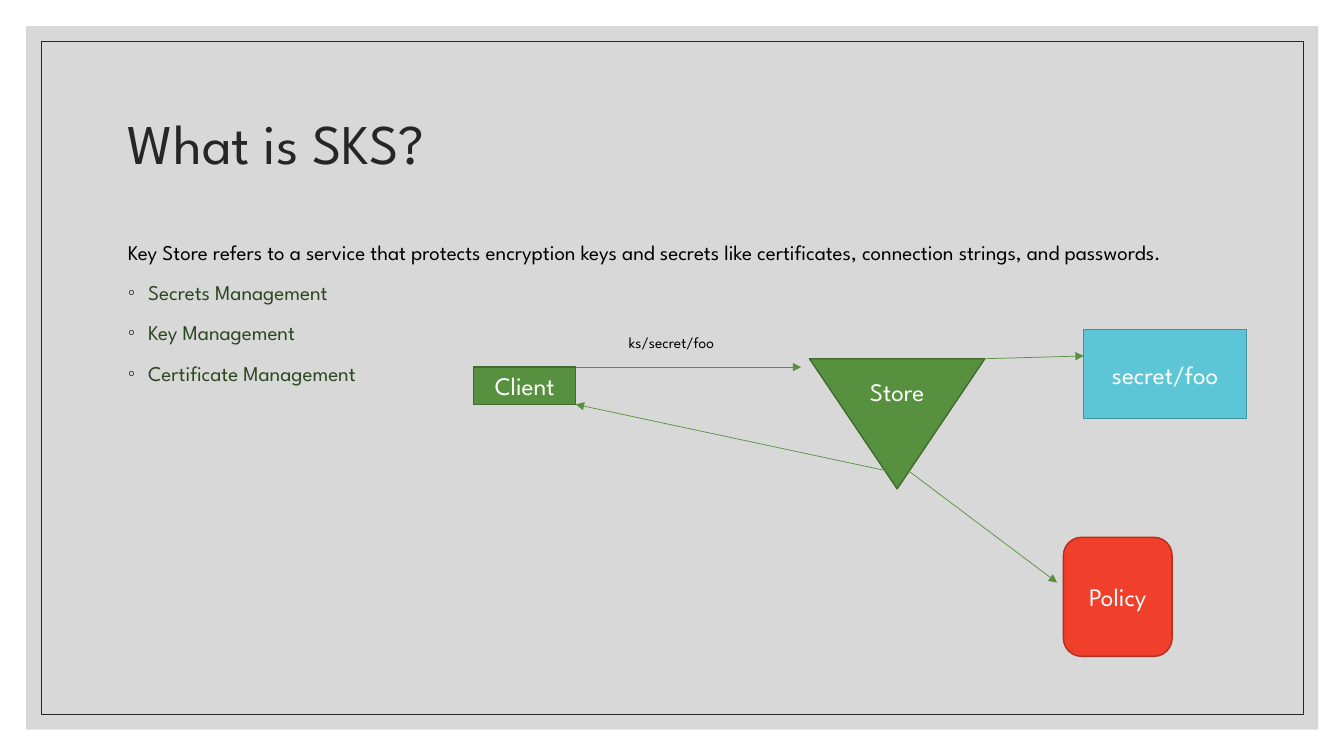
import dataclasses

import pptx
import pptx.dml.color
import pptx.enum.dml
import pptx.enum.shapes
import pptx.enum.text
import pptx.oxml
import pptx.oxml.ns
import pptx.util

Cm = pptx.util.Cm
Pt = pptx.util.Pt
SHAPE = pptx.enum.shapes.MSO_SHAPE
ALIGN = pptx.enum.text.PP_ALIGN
ANCHOR = pptx.enum.text.MSO_ANCHOR


@dataclasses.dataclass(frozen=True)
class Theme:
    """Hold the colours and type sizes of the slide."""
    font: str = "League Spartan"
    panel: str = "BFBFBF"
    ink: str = "262626"
    black: str = "000000"
    white: str = "FFFFFF"
    topic: str = "2C4820"
    green: str = "57903F"
    green_edge: str = "406B2F"
    blue: str = "5CC6D6"
    blue_edge: str = "44929E"
    red: str = "F03F2B"
    red_edge: str = "B22F20"
    title_size: float = 40
    body_size: float = 15
    node_size: float = 18
    label_size: float = 11
    edge_width: float = 1
    hairline: float = 0.5


THEME = Theme()


def rgb(code):
    """Turn a hex code into a colour."""
    return pptx.dml.color.RGBColor.from_string(code)


def add_xml(parent, tag, **attributes):
    """Append a DrawingML element to a parent and return it."""
    element = pptx.oxml.parse_xml(f"<a:{tag} {pptx.oxml.ns.nsdecls('a')}/>")
    for name, value in attributes.items():
        element.set(name, value)
    parent.append(element)
    return element


def style(paragraph, size, colour, align):
    """Set the font and alignment of a paragraph."""
    paragraph.font.name = THEME.font
    paragraph.font.size = Pt(size)
    paragraph.font.color.rgb = rgb(colour)
    paragraph.alignment = align


def place(shape, left, top, width, height):
    """Move a shape to a box given in centimetres."""
    shape.left, shape.top = Cm(left), Cm(top)
    shape.width, shape.height = Cm(width), Cm(height)


def add_block(slide, kind, box, fill, edge, width):
    """Add a flat shape, unfilled or unlined where a colour is None."""
    block = slide.shapes.add_shape(kind, *map(Cm, box))
    block.shadow.inherit = False
    if fill:
        block.fill.solid()
        block.fill.fore_color.rgb = rgb(fill)
    else:
        block.fill.background()
    if edge:
        block.line.color.rgb = rgb(edge)
        block.line.width = Pt(width)
    else:
        block.line.fill.background()
    return block


def draw_frame(slide, left, top, width, height):
    """Draw the tinted panel and its inner border behind the placeholders."""
    inset = 0.38
    panel = add_block(slide, SHAPE.RECTANGLE, (left, top, width, height),
                      THEME.panel, None, 0)
    tint = panel.fill._xPr.find(".//" + pptx.oxml.ns.qn("a:srgbClr"))
    add_xml(tint, "alpha", val="60000")
    inner = (left + inset, top + inset, width - 2 * inset, height - 2 * inset)
    border = add_block(slide, SHAPE.RECTANGLE, inner, None, THEME.ink, THEME.hairline)
    for depth, part in enumerate((panel, border), start=2):
        slide.shapes._spTree.insert(depth, part._element)


def fill_title(slide, left, top, width, height):
    """Place and write the title."""
    heading = slide.shapes.title
    place(heading, left, top, width, height)
    heading.text_frame.text = "What is SKS?"
    heading.text_frame.vertical_anchor = ANCHOR.MIDDLE
    heading.text_frame.auto_size = pptx.enum.text.MSO_AUTO_SIZE.NONE
    line = heading.text_frame.paragraphs[0]
    style(line, THEME.title_size, THEME.ink, ALIGN.LEFT)
    line.line_spacing = 0.9


def fill_body(slide, left, top, width, height):
    """Place the introduction and the bulleted topics."""
    body = slide.placeholders[1]
    place(body, left, top, width, height)
    body.text_frame.auto_size = pptx.enum.text.MSO_AUTO_SIZE.NONE
    body.text_frame.text = "\n".join((
        "Key Store refers to a service that protects encryption keys and secrets "
        "like certificates, connection strings, and passwords.",
        "Secrets Management", "Key Management", "Certificate Management"))
    for position, line in enumerate(body.text_frame.paragraphs):
        is_topic = position > 0
        style(line, THEME.body_size, THEME.topic if is_topic else THEME.black, ALIGN.LEFT)
        line.line_spacing = 1.1
        line.space_before = Pt(9)
        properties = line._p.get_or_add_pPr()
        indent = Cm(0.51) if is_topic else 0
        properties.set("marL", str(indent))
        properties.set("indent", str(-indent))
        run_defaults = properties.find(pptx.oxml.ns.qn("a:defRPr"))
        if is_topic:
            add_xml(add_xml(properties, "buClr"), "srgbClr", val=THEME.ink)
            add_xml(properties, "buChar", char="◦")
        else:
            add_xml(properties, "buNone")
        properties.append(run_defaults)


def add_arrow(slide, start, end):
    """Add a thin green arrow between two points in centimetres."""
    arrow = slide.shapes.add_connector(
        pptx.enum.shapes.MSO_CONNECTOR.STRAIGHT, *map(Cm, start + end))
    arrow.line.color.rgb = rgb(THEME.green)
    arrow.line.width = Pt(THEME.hairline)
    add_xml(arrow.line._get_or_add_ln(), "tailEnd", type="triangle")
    add_xml(arrow._element.spPr, "effectLst")


def draw_store_flow(slide, left, top):
    """Draw the client, store, secret and policy with their arrows."""
    nodes = (
        ("Client", SHAPE.RECTANGLE, (0, 0.99, 2.57, 0.94), THEME.green, THEME.green_edge),
        ("Store", SHAPE.FLOWCHART_MERGE, (8.46, 0.78, 4.42, 3.28),
         THEME.green, THEME.green_edge),
        ("secret/foo", SHAPE.RECTANGLE, (15.37, 0.05, 4.11, 2.24),
         THEME.blue, THEME.blue_edge),
        ("Policy", SHAPE.ROUNDED_RECTANGLE, (14.86, 5.28, 2.74, 3),
         THEME.red, THEME.red_edge),
    )
    for name, kind, (x, y, width, height), fill, edge in nodes:
        node = add_block(slide, kind, (left + x, top + y, width, height),
                         fill, edge, THEME.edge_width)
        node.text_frame.text = name
        node.text_frame.vertical_anchor = ANCHOR.MIDDLE
        style(node.text_frame.paragraphs[0], THEME.node_size, THEME.white, ALIGN.CENTER)

    request = slide.shapes.add_textbox(Cm(left + 3.45), Cm(top), Cm(3.07), Cm(0.74))
    request.text_frame.text = "ks/secret/foo"
    request.text_frame.word_wrap = False
    style(request.text_frame.paragraphs[0], THEME.label_size, THEME.black, ALIGN.CENTER)

    arrows = (
        ((2.57, 0.99), (8.25, 0.99)),
        ((12.88, 0.78), (15.37, 0.71)),
        ((10.95, 3.6), (14.7, 6.42)),
        ((10.39, 3.6), (2.57, 1.93)),
    )
    for start, end in arrows:
        add_arrow(slide, (left + start[0], top + start[1]), (left + end[0], top + end[1]))


def main():
    """Build the slide and save it."""
    deck = pptx.Presentation()
    deck.slide_width, deck.slide_height = Cm(33.87), Cm(19.05)
    slide = deck.slides.add_slide(deck.slide_layouts[1])
    draw_frame(slide, 0.66, 0.66, 32.56, 17.73)
    fill_title(slide, 2.97, 1.78, 27.94, 3.81)
    fill_body(slide, 2.97, 5.84, 27.94, 10.69)
    draw_store_flow(slide, 11.94, 8.26)
    deck.save("out.pptx")


if __name__ == "__main__":
    main()
